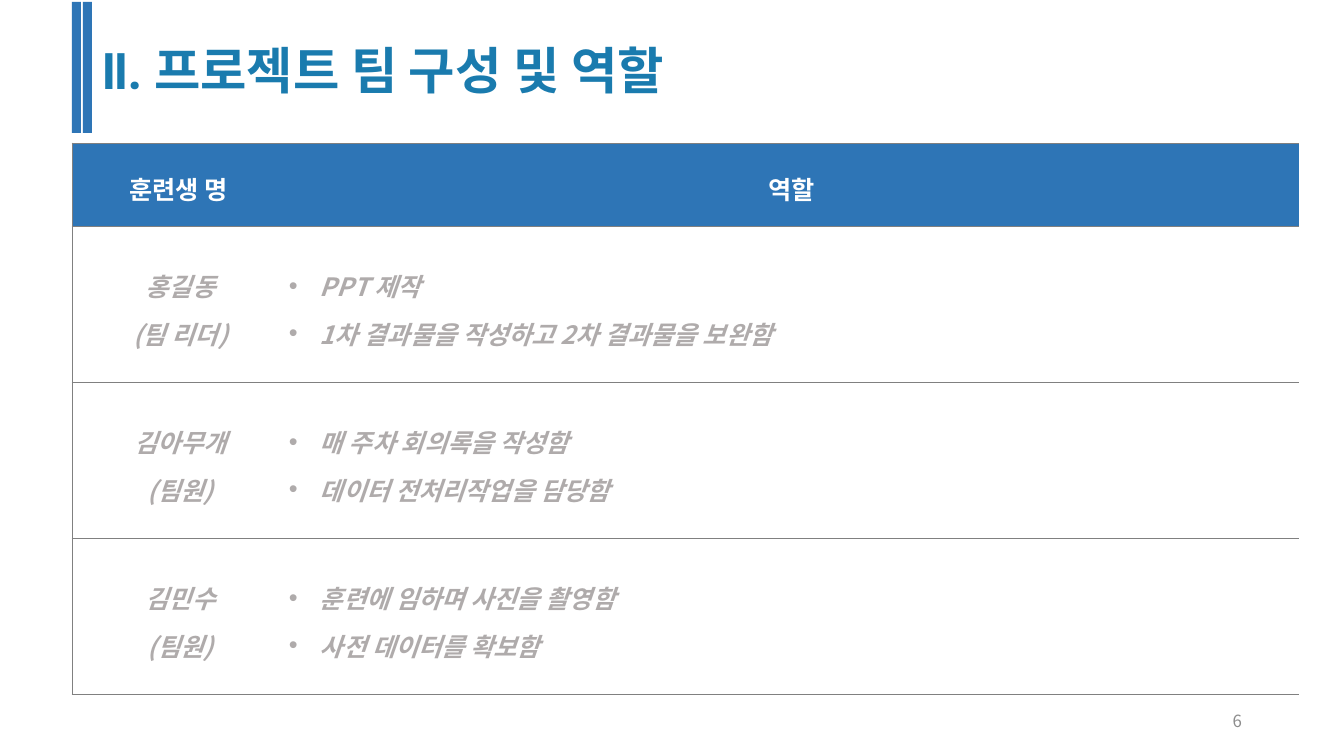
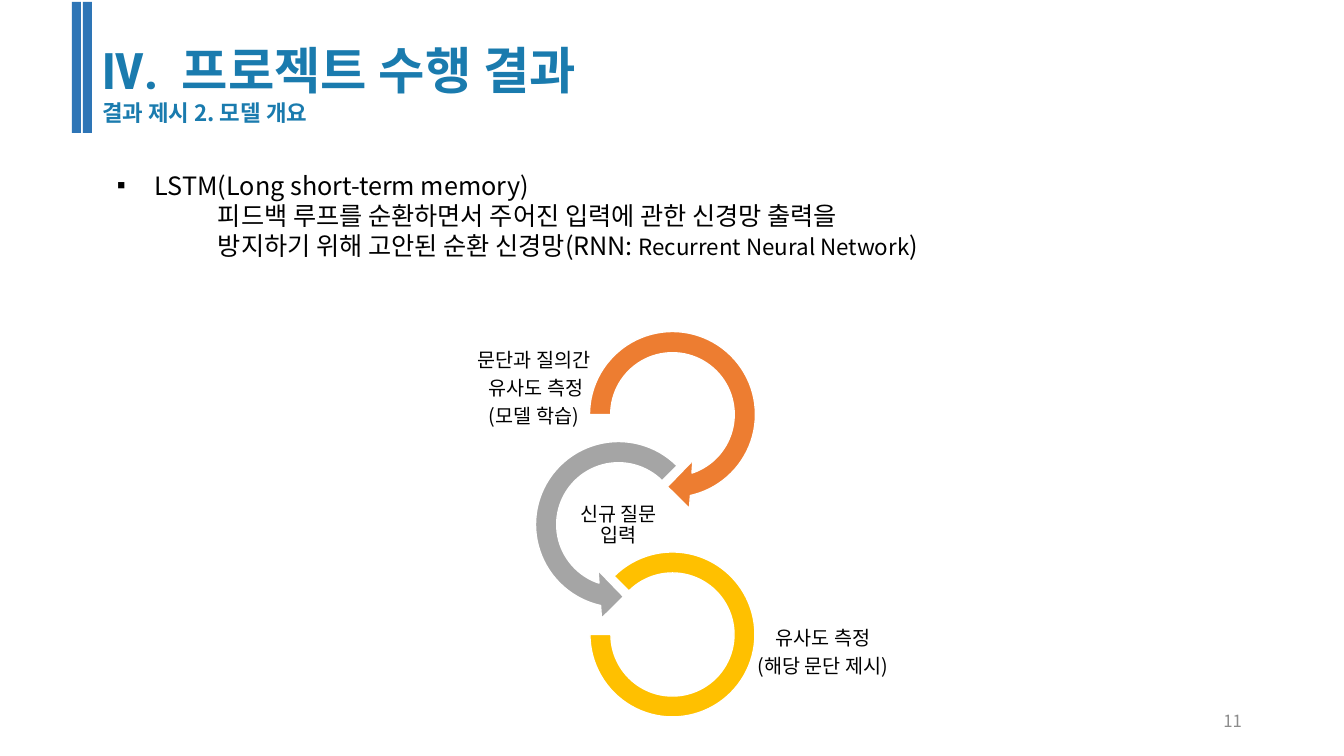
"""Build two project slides: the team roles table and the model overview."""
import pptx
import pptx.dml.color
import pptx.enum.shapes
import pptx.enum.text
import pptx.oxml.ns
import pptx.util
from lxml import etree

SLIDE_SIZE = (1344, 756)
EMU_PER_PX = 12192000 / 1344
KOREAN, HEADING = "Noto Sans CJK KR", "Roboto Condensed"
BLUE, TITLE_BLUE, GREY = "2E75B6", "1A7BAE", "808080"
ROLE_GREY, NUMBER_GREY, BLACK, WHITE = "AFABAB", "8C8C8C", "000000", "FFFFFF"

ALIGN = pptx.enum.text.PP_ALIGN
ANCHOR = pptx.enum.text.MSO_ANCHOR
SHAPE = pptx.enum.shapes.MSO_SHAPE

TITLE_FONT = {"size": 36, "name": HEADING, "color": TITLE_BLUE, "bold": True}
SUBTITLE_FONT = {**TITLE_FONT, "size": 16}
HEADER_FONT = {"size": 18, "name": KOREAN, "color": WHITE, "bold": True}
ROLE_FONT = {**HEADER_FONT, "color": ROLE_GREY, "italic": True}
NUMBER_FONT = {"size": 12, "name": KOREAN, "color": NUMBER_GREY}
BODY_FONT = {"size": 18, "name": KOREAN, "color": BLACK}
SMALL_FONT = {**BODY_FONT, "size": 16}
LABEL_FONT = {**BODY_FONT, "size": 14}

HEADER_STYLE = {"alignment": ALIGN.CENTER, "line_spacing": 1.2}
MEMBER_STYLE = {"alignment": ALIGN.CENTER, "line_spacing": 1.3}
ROLE_STYLE = {"line_spacing": 1.3, "bullet": "•", "margin": 31, "indent": -31}
LABEL_STYLE = {"alignment": ALIGN.CENTER, "line_spacing": 0.9, "space_after": pptx.util.Pt(5)}
TOPIC_STYLE = {"line_spacing": 1.0, "bullet": "▪", "margin": 38, "indent": -38}
DETAIL_STYLE = {"line_spacing": 1.0, "margin": 101, "indent": 0}

BAR_BOXES = [(left, 2, 9, 131) for left in (72, 83)]
NUMBER_BOX = (950, 701, 302, 40)

TEAM_TITLE = [([("Ⅱ. 프로젝트 팀 구성 및 역할", TITLE_FONT)], {})]
TABLE_ORIGIN = (72, 143)
COLUMN_WIDTHS, ROW_HEIGHTS = (213, 1014), (83, 156, 156, 156)
HEADERS = ("훈련생 명", "역할")
TEAM = [
    (("홍길동", "(팀 리더)"), ("PPT 제작", "1차 결과물을 작성하고 2차 결과물을 보완함")),
    (("김아무개", "(팀원)"), ("매 주차 회의록을 작성함", "데이터 전처리작업을 담당함")),
    (("김민수", "(팀원)"), ("훈련에 임하며 사진을 촬영함", "사전 데이터를 확보함")),
]

MODEL_TITLE = [
    ([("Ⅳ.  프로젝트 수행 결과", TITLE_FONT)], {}),
    ([("결과 ", SUBTITLE_FONT), ("제시 2. 모델 개요", {**SUBTITLE_FONT, "name": KOREAN})], {}),
]
MODEL_BOX = (107, 165, 1053, 163)
MODEL_TEXT = [
    ([("LSTM(Long short-term memory)", BODY_FONT)], TOPIC_STYLE),
    ([("피드백 루프를 순환하면서 주어진 입력에 관한 신경망 출력을", BODY_FONT)], DETAIL_STYLE),
    ([("방지하기 위해 고안된 순환 신경망(RNN: ", BODY_FONT),
      ("Recurrent Neural Network", SMALL_FONT), (")", BODY_FONT)], DETAIL_STYLE),
]
CYCLE = [
    {"kind": SHAPE.CIRCULAR_ARROW, "box": (576, 318, 193, 193), "fill": "ED7D31",
     "adjustments": (0.11, 11.42, 45, 108, 0.125), "label_box": (382, 363, 304, 53),
     "label": ("문단과 질의간", " 유사도 측정", "(모델 학습)")},
    {"kind": SHAPE.LEFT_CIRCULAR_ARROW, "box": (522, 428, 193, 193), "fill": "A5A5A5",
     "adjustments": (0.11, 11.42, 63, 189, 0.125), "label_box": (565, 499, 107, 53),
     "label": ("신규 질문 입력",)},
    {"kind": SHAPE.BLOCK_ARC, "box": (590, 552, 165, 165), "fill": "FFC000",
     "adjustments": (135, 108, 0.127), "label_box": (708, 627, 230, 53),
     "label": ("유사도 측정", "(해당 문단 제시)")},
]


def px(value):
    return pptx.util.Emu(round(value * EMU_PER_PX))


def color(value):
    return pptx.dml.color.RGBColor.from_string(value)


def add_xml(parent, tag, **attributes):
    return etree.SubElement(parent, pptx.oxml.ns.qn(tag), attributes)


def set_font(run, font):
    for key, value in font.items():
        if key == "color":
            run.font.color.rgb = color(value)
        else:
            setattr(run.font, key, pptx.util.Pt(value) if key == "size" else value)
    add_xml(run.font._element, "a:ea", typeface=font["name"])


def set_paragraph(paragraph, style):
    properties = paragraph._p.get_or_add_pPr()
    for key, value in style.items():
        if key == "bullet":
            add_xml(properties, "a:buFont", typeface="Arial")
            add_xml(properties, "a:buChar", char=value)
        elif key in ("margin", "indent"):
            properties.set({"margin": "marL", "indent": "indent"}[key], str(px(value)))
        else:
            setattr(paragraph, key, value)


def write(frame, paragraphs):
    for index, (runs, style) in enumerate(paragraphs):
        paragraph = frame.add_paragraph() if index else frame.paragraphs[0]
        set_paragraph(paragraph, style)
        for text, font in runs:
            run = paragraph.add_run()
            run.text = text
            set_font(run, font)


def lines(texts, font, style):
    return [([(text, font)], style) for text in texts]


def add_text(slide, box, paragraphs, anchor=ANCHOR.TOP, inset=None):
    frame = slide.shapes.add_textbox(*map(px, box)).text_frame
    frame.word_wrap = True
    frame.vertical_anchor = anchor
    if inset is not None:
        for side in ("left", "top", "right", "bottom"):
            setattr(frame, "margin_" + side, px(inset))
    write(frame, paragraphs)


def add_filled(slide, kind, box, fill, line=None):
    shape = slide.shapes.add_shape(kind, *map(px, box))
    shape.shadow.inherit = False
    shape.fill.solid()
    shape.fill.fore_color.rgb = color(fill)
    if line:
        shape.line.color.rgb = color(line)
        shape.line.width = pptx.util.Pt(1)
    else:
        shape.line.fill.background()
    return shape


def add_slide(presentation, title, title_height, number):
    slide = presentation.slides.add_slide(presentation.slide_layouts[5])
    heading = slide.shapes.title
    box = {"left": 92, "top": 34, "width": 750, "height": title_height}
    for key, value in box.items():
        setattr(heading, key, px(value))
    frame = heading.text_frame
    frame.vertical_anchor = ANCHOR.TOP
    frame.auto_size = pptx.enum.text.MSO_AUTO_SIZE.NONE
    write(frame, [(runs, {"alignment": ALIGN.LEFT}) for runs, _ in title])
    for bar in BAR_BOXES:
        add_filled(slide, SHAPE.RECTANGLE, bar, BLUE)
    add_text(slide, NUMBER_BOX, lines([str(number)], NUMBER_FONT, {"alignment": ALIGN.RIGHT}),
             ANCHOR.MIDDLE)
    return slide


def set_borders(cell, visible):
    properties = cell._tc.get_or_add_tcPr()
    for side in "LRTB":
        border = add_xml(properties, "a:ln" + side, w=str(pptx.util.Pt(0.5)))
        if side in visible:
            add_xml(add_xml(border, "a:solidFill"), "a:srgbClr", val=GREY)
        else:
            add_xml(border, "a:noFill")


def fill_cell(cell, paragraphs, fill, left_inset, visible):
    set_borders(cell, visible)
    cell.fill.solid()
    cell.fill.fore_color.rgb = color(fill)
    cell.vertical_anchor = ANCHOR.MIDDLE
    margins = {"left": left_inset, "top": 0, "right": 0, "bottom": 0}
    for side, value in margins.items():
        setattr(cell, "margin_" + side, px(value))
    write(cell.text_frame, paragraphs)


def add_team_table(slide):
    size = (sum(COLUMN_WIDTHS), sum(ROW_HEIGHTS))
    table = slide.shapes.add_table(len(ROW_HEIGHTS), len(COLUMN_WIDTHS),
                                   *map(px, TABLE_ORIGIN + size)).table
    table.first_row = table.horz_banding = False
    for column, width in zip(table.columns, COLUMN_WIDTHS):
        column.width = px(width)
    for row, height in zip(table.rows, ROW_HEIGHTS):
        row.height = px(height)
    rows = [[(lines([text], HEADER_FONT, HEADER_STYLE), BLUE, 0) for text in HEADERS]]
    for member, roles in TEAM:
        rows.append([(lines(member, ROLE_FONT, MEMBER_STYLE), WHITE, 4),
                     (lines(roles, ROLE_FONT, ROLE_STYLE), WHITE, 4)])
    for row, contents in zip(table.rows, rows):
        for cell, content, visible in zip(row.cells, contents, ("LTB", "TB")):
            fill_cell(cell, *content, visible)


def add_cycle(slide):
    for step in CYCLE:
        shape = add_filled(slide, step["kind"], step["box"], step["fill"], WHITE)
        for index, value in enumerate(step["adjustments"]):
            shape.adjustments[index] = value
        add_text(slide, step["label_box"], lines(step["label"], LABEL_FONT, LABEL_STYLE),
                 ANCHOR.MIDDLE, 1)


def main():
    presentation = pptx.Presentation()
    presentation.slide_width, presentation.slide_height = map(px, SLIDE_SIZE)
    add_team_table(add_slide(presentation, TEAM_TITLE, 72, 6))
    model_slide = add_slide(presentation, MODEL_TITLE, 99, 11)
    add_text(model_slide, MODEL_BOX, MODEL_TEXT)
    add_cycle(model_slide)
    presentation.save("out.pptx")


if __name__ == "__main__":
    main()
